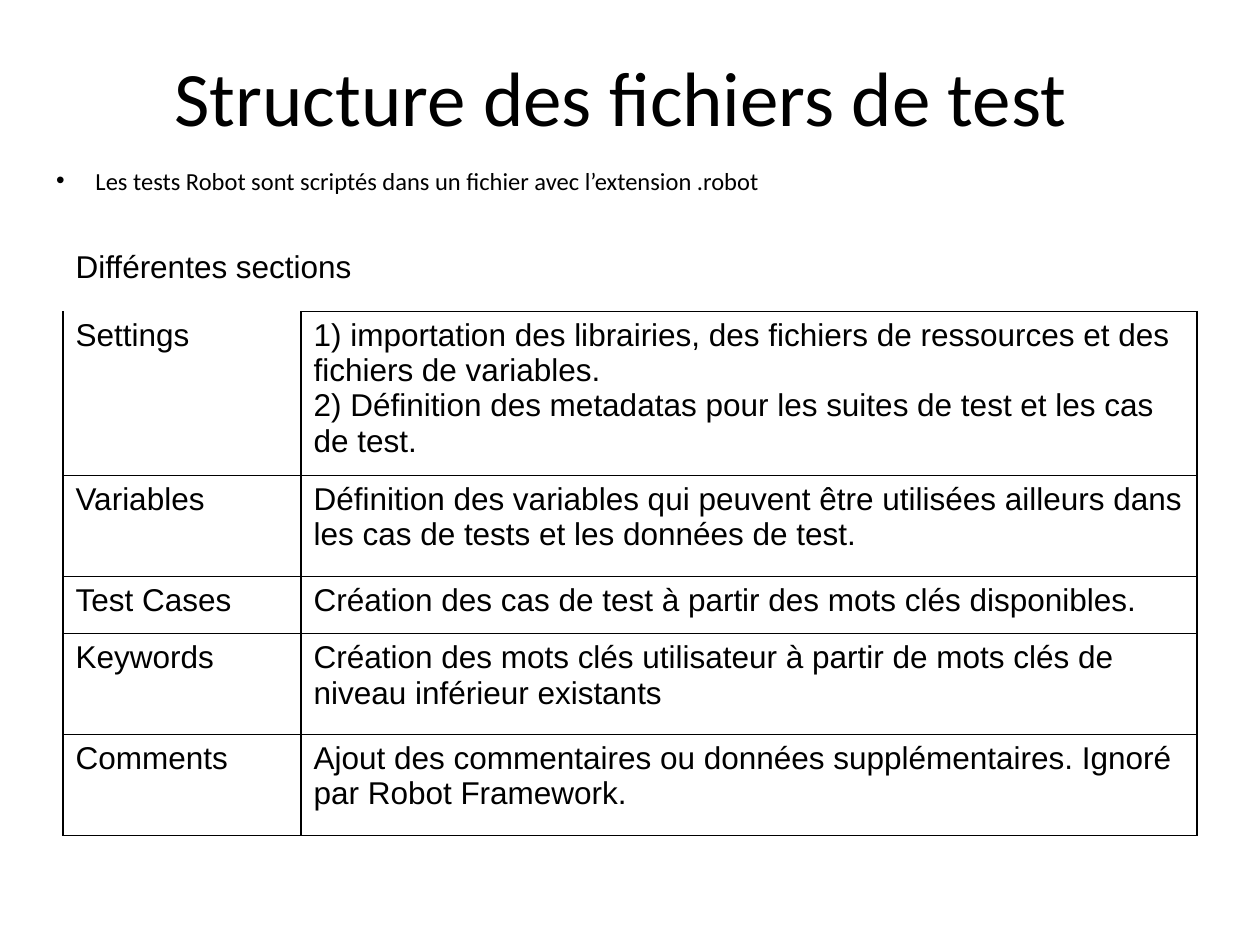
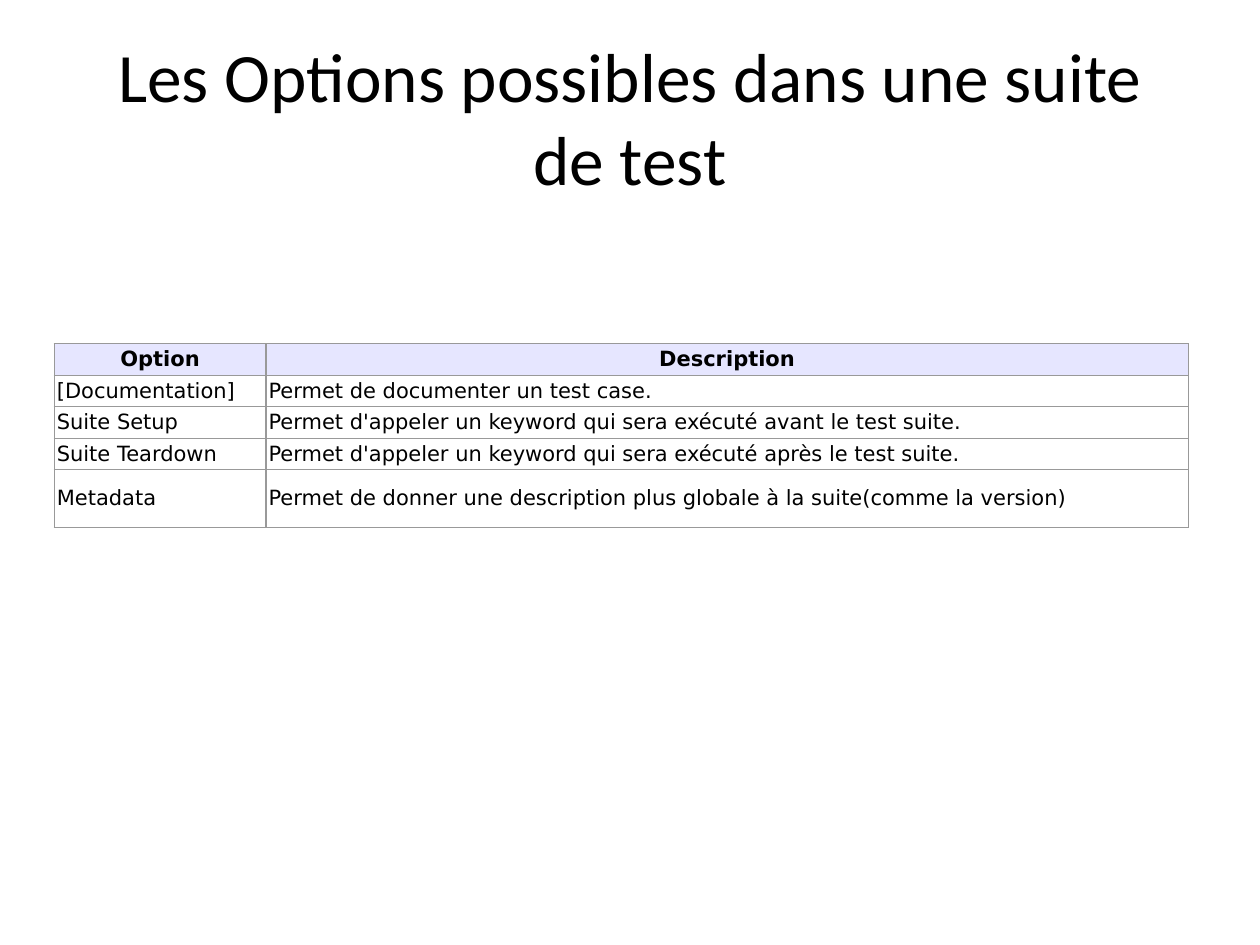
from lxml import etree
from pptx import Presentation
from pptx.dml.color import RGBColor
from pptx.enum import text as t
from pptx.oxml import ns
from pptx.util import Pt

BLACK = RGBColor(0x00, 0x00, 0x00)
WHITE = RGBColor(0xFF, 0xFF, 0xFF)
GREY = RGBColor(0x99, 0x99, 0x99)
LAVENDER = RGBColor(0xE6, 0xE6, 0xFF)
PLAIN_TABLE_STYLE = "{2D5ABB26-0587-4C30-8999-92F81FD0307C}"
ALL_SIDES = "LRTB"

SECTIONS = [
    ("Différentes sections", ""),
    ("Settings",
     "1) importation des librairies, des fichiers de ressources et des fichiers de variables.\n"
     "2) Définition des metadatas pour les suites de test et les cas de test."),
    ("Variables",
     "Définition des variables qui peuvent être utilisées ailleurs dans les cas de tests "
     "et les données de test."),
    ("Test Cases", "Création des cas de test à partir des mots clés disponibles."),
    ("Keywords",
     "Création des mots clés utilisateur à partir de mots clés de niveau inférieur existants"),
    ("Comments",
     "Ajout des commentaires ou données supplémentaires. Ignoré par Robot Framework."),
]
OPTIONS = [
    ("Option", "Description"),
    ("[Documentation]", "Permet de documenter un test case."),
    ("Suite Setup", "Permet d'appeler un keyword qui sera exécuté avant le test suite."),
    ("Suite Teardown", "Permet d'appeler un keyword qui sera exécuté après le test suite."),
    ("Metadata", "Permet de donner une description plus globale à la suite(comme la version)"),
]


def format_text(text_frame, font_name, size, alignment, bold=False):
    for paragraph in text_frame.paragraphs:
        paragraph.alignment = alignment
        for run in paragraph.runs:
            run.font.name = font_name
            run.font.size = Pt(size)
            run.font.bold = bold
            run.font.color.rgb = BLACK


def add_text(slide, text, left, top, height, size, alignment):
    shape = slide.shapes.add_textbox(Pt(left), Pt(top), Pt(648), Pt(height))
    text_frame = shape.text_frame
    text_frame.word_wrap = True
    text_frame.vertical_anchor = t.MSO_ANCHOR.MIDDLE
    text_frame.text = text
    format_text(text_frame, "Calibri", size, alignment)
    return shape


def add_title(slide, text, left, top, size):
    add_text(slide, text, left, top, 90, size, t.PP_ALIGN.CENTER)


def add_bullet(slide, text, left, top, height, size):
    shape = add_text(slide, text, left, top, height, size, t.PP_ALIGN.LEFT)
    properties = shape.text_frame.paragraphs[0]._p.get_or_add_pPr()
    properties.set("marL", str(Pt(22.5)))
    properties.set("indent", str(Pt(-22.5)))
    etree.SubElement(properties, ns.qn("a:buFont"), typeface="Arial")
    etree.SubElement(properties, ns.qn("a:buChar"), char="•")


def set_borders(cell, color, sides):
    properties = cell._tc.get_or_add_tcPr()
    for side in ALL_SIDES:
        line = etree.SubElement(properties, ns.qn(f"a:ln{side}"), w=str(Pt(0.75)))
        if side in sides:
            fill = etree.SubElement(line, ns.qn("a:solidFill"))
            etree.SubElement(fill, ns.qn("a:srgbClr"), val=str(color))
        else:
            etree.SubElement(line, ns.qn("a:noFill"))


def add_table(slide, rows, left, top, column_widths, row_heights):
    frame = slide.shapes.add_table(len(rows), len(column_widths), Pt(left), Pt(top),
                                   Pt(sum(column_widths)), Pt(sum(row_heights)))
    table = frame.table
    table.first_row = table.horz_banding = False
    table._tbl.tblPr.find(ns.qn("a:tableStyleId")).text = PLAIN_TABLE_STYLE
    for column, width in zip(table.columns, column_widths):
        column.width = Pt(width)
    for row, height, texts in zip(table.rows, row_heights, rows):
        row.height = Pt(height)
        for cell, text in zip(row.cells, texts):
            cell.text_frame.text = text
    return table


def add_sections_table(slide):
    table = add_table(slide, SECTIONS, 36, 128, (136, 512), (50, 82, 57.6, 33, 57.6, 57.6))
    for row_index, row in enumerate(table.rows):
        for column_index, cell in enumerate(row.cells):
            if row_index == 0:
                sides = ""
            elif (row_index, column_index) == (1, 0):
                sides = "LRB"
            else:
                sides = ALL_SIDES
            set_borders(cell, BLACK, sides)
            cell.fill.background()
            format_text(cell.text_frame, "Arial", 18, t.PP_ALIGN.LEFT)
    heading = table.cell(0, 0)
    heading.merge(table.cell(0, 1))
    heading.vertical_anchor = t.MSO_ANCHOR.MIDDLE


def add_options_table(slide):
    table = add_table(slide, OPTIONS, 31, 196.5, (121, 527), (18, 18, 18, 18, 33))
    for row_index, row in enumerate(table.rows):
        is_header = row_index == 0
        alignment = t.PP_ALIGN.CENTER if is_header else t.PP_ALIGN.JUSTIFY
        for cell in row.cells:
            cell.margin_left = cell.margin_right = Pt(1.5)
            cell.margin_top = cell.margin_bottom = Pt(1.5)
            cell.vertical_anchor = t.MSO_ANCHOR.MIDDLE
            set_borders(cell, GREY, ALL_SIDES)
            cell.fill.solid()
            cell.fill.fore_color.rgb = LAVENDER if is_header else WHITE
            format_text(cell.text_frame, "DejaVu Sans", 12, alignment, is_header)


def main():
    presentation = Presentation()
    presentation.slide_width, presentation.slide_height = Pt(720), Pt(540)
    blank = presentation.slide_layouts[6]

    slide = presentation.slides.add_slide(blank)
    add_title(slide, "Structure des fichiers de test", 31, 9.5, 44)
    add_sections_table(slide)
    add_bullet(slide, "Les tests Robot sont scriptés dans un fichier avec l’extension .robot",
               25, 66.5, 73, 14)

    slide = presentation.slides.add_slide(blank)
    add_title(slide, "Les Options possibles dans une suite de test", 36, 21.5, 39.6)
    add_options_table(slide)

    presentation.save("out.pptx")


if __name__ == "__main__":
    main()
